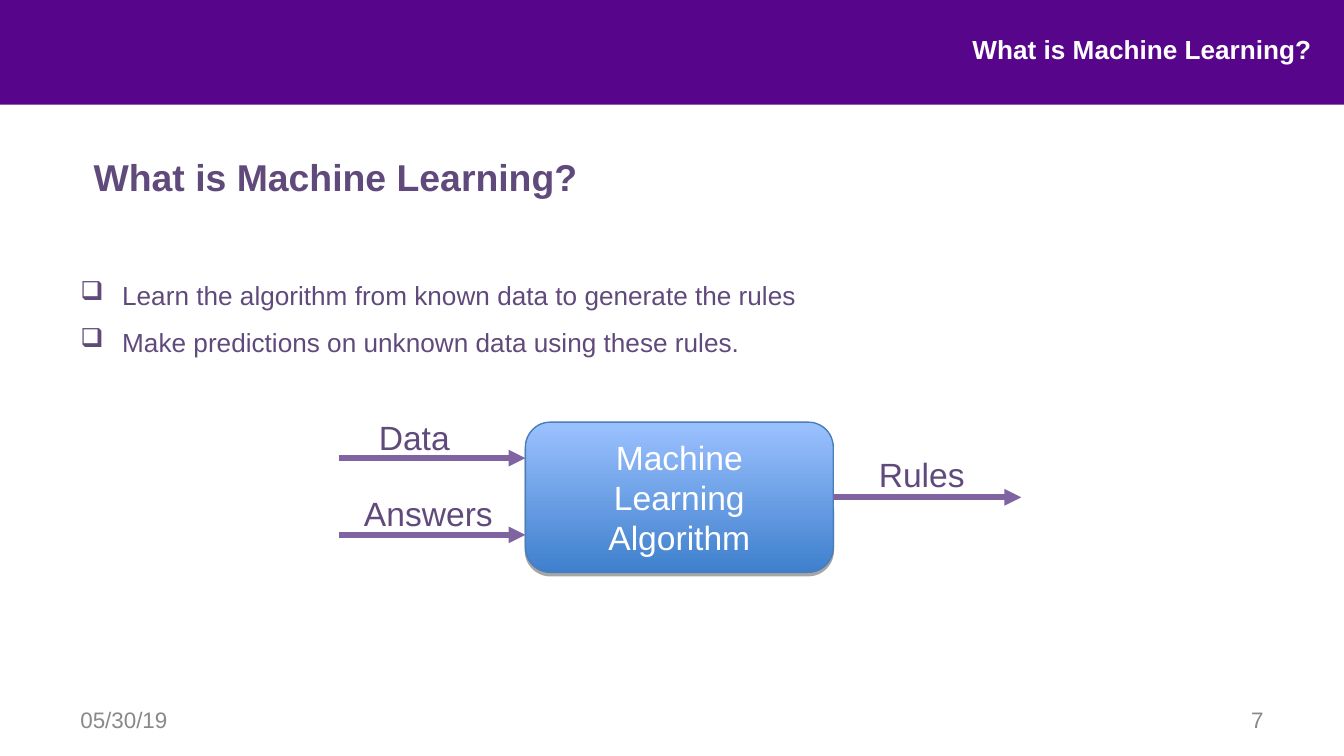
"""Build a slide that explains machine learning with a small flow diagram."""
from dataclasses import dataclass

from lxml import etree
from pptx import Presentation
from pptx.dml.color import RGBColor
from pptx.enum.shapes import MSO_CONNECTOR, MSO_SHAPE
from pptx.enum.text import MSO_ANCHOR, PP_ALIGN
from pptx.oxml.ns import qn
from pptx.slide import Slide
from pptx.text.text import TextFrame
from pptx.util import Cm, Pt

LEFT, CENTER, RIGHT = PP_ALIGN.LEFT, PP_ALIGN.CENTER, PP_ALIGN.RIGHT
TOP, MIDDLE = MSO_ANCHOR.TOP, MSO_ANCHOR.MIDDLE
RECTANGLE, ROUNDED = MSO_SHAPE.RECTANGLE, MSO_SHAPE.ROUNDED_RECTANGLE
STRAIGHT = MSO_CONNECTOR.STRAIGHT


@dataclass(frozen=True)
class Theme:
    font: str = "Arial"
    band: str = "57068C"
    ink: str = "604A7B"
    arrow: str = "8064A2"
    light: str = "FFFFFF"
    muted: str = "898989"
    box_low: str = "3F80CD"
    box_high: str = "9BC1FF"
    box_edge: str = "4A7EBB"
    shadow: str = "000000"
    title_size: int = 20
    diagram_size: int = 18
    body_size: int = 14
    footer_size: int = 12


@dataclass(frozen=True)
class Area:
    left: float
    top: float
    width: float
    height: float

    def lengths(self) -> tuple[Cm, Cm, Cm, Cm]:
        return Cm(self.left), Cm(self.top), Cm(self.width), Cm(self.height)


@dataclass(frozen=True)
class Caption:
    lines: tuple[str, ...]
    area: Area
    size: int
    color: str
    bold: bool = False
    align: PP_ALIGN = LEFT
    anchor: MSO_ANCHOR = TOP
    padded: bool = True
    bulleted: bool = False


@dataclass(frozen=True)
class Flow:
    label: str
    label_area: Area
    start: float
    end: float
    level: float


THEME = Theme()
HEADING = "What is Machine Learning?"
BAND = Area(0, 0, 25.43, 1.98)
ALGORITHM = Caption(("Machine Learning", "Algorithm"), Area(9.93, 7.98, 5.82, 2.84),
                    THEME.diagram_size, THEME.light, align=CENTER, anchor=MIDDLE)
BOX_LEFT = ALGORITHM.area.left
BOX_RIGHT = BOX_LEFT + ALGORITHM.area.width

CAPTIONS = (
    Caption(("Learn the algorithm from known data to generate the rules",
             "Make predictions on unknown data using these rules."),
            Area(1.52, 4.98, 22.66, 1.78), THEME.body_size, THEME.ink,
            padded=False, bulleted=True),
    Caption((HEADING,), Area(17.17, 0.64, 7.62, 0.74), THEME.body_size, THEME.light,
            bold=True, align=RIGHT, padded=False),
    Caption(("05/30/19",), Area(1.27, 13.23, 5.92, 0.76), THEME.footer_size,
            THEME.muted, anchor=MIDDLE),
    Caption(("7",), Area(18.21, 13.23, 5.92, 0.76), THEME.footer_size,
            THEME.muted, align=RIGHT, anchor=MIDDLE),
    Caption((HEADING,), Area(1.52, 2.79, 22.61, 1.12), THEME.title_size, THEME.ink,
            bold=True),
)
FLOWS = (
    Flow("Data", Area(6.91, 7.75, 2.62, 1.02), 6.4, BOX_LEFT, 8.66),
    Flow("Rules", Area(16.36, 8.46, 2.21, 1.02), BOX_RIGHT, 19.3, 9.4),
    Flow("Answers", Area(6.63, 9.19, 3.07, 1.02), 6.4, BOX_LEFT, 10.11),
)


def rgb(color: str) -> RGBColor:
    return RGBColor.from_string(color)


def add_bullet(properties: etree._Element) -> None:
    properties.set("marL", str(Cm(0.79)))
    properties.set("indent", str(-Cm(0.79)))
    bullet_color = etree.SubElement(properties, qn("a:buClr"))
    etree.SubElement(bullet_color, qn("a:srgbClr"), val=THEME.ink)
    etree.SubElement(properties, qn("a:buChar"), char="❑")


def write_text(frame: TextFrame, caption: Caption) -> None:
    frame.text = "\n".join(caption.lines)
    frame.word_wrap = True
    frame.vertical_anchor = caption.anchor
    if not caption.padded:
        frame.margin_left = frame.margin_right = 0
        frame.margin_top = frame.margin_bottom = 0
    for paragraph in frame.paragraphs:
        if caption.bulleted:
            add_bullet(paragraph._p.get_or_add_pPr())
            paragraph.line_spacing = 1.5
        paragraph.alignment = caption.align
        for run in paragraph.runs:
            run.font.name = THEME.font
            run.font.size = Pt(caption.size)
            run.font.bold = caption.bold
            run.font.color.rgb = rgb(caption.color)


def add_caption(slide: Slide, caption: Caption) -> None:
    write_text(slide.shapes.add_textbox(*caption.area.lengths()).text_frame, caption)


def add_band(slide: Slide) -> None:
    band = slide.shapes.add_shape(RECTANGLE, *BAND.lengths())
    band.shadow.inherit = False
    band.fill.solid()
    band.fill.fore_color.rgb = rgb(THEME.band)
    band.line.fill.background()


def add_algorithm(slide: Slide) -> None:
    box = slide.shapes.add_shape(ROUNDED, *ALGORITHM.area.lengths())
    box.adjustments[0] = 0.167
    box.fill.gradient()
    box.fill.gradient_angle = 90
    for stop, color in zip(box.fill.gradient_stops, (THEME.box_low, THEME.box_high)):
        stop.color.rgb = rgb(color)
    box.line.color.rgb = rgb(THEME.box_edge)
    box.line.width = Pt(0.75)
    box.shadow.inherit = False
    effects = box._element.spPr.find(qn("a:effectLst"))
    shadow = etree.SubElement(effects, qn("a:outerShdw"), blurRad="0",
                              dist=str(Pt(1.8)), dir="5400000", rotWithShape="0")
    shade = etree.SubElement(shadow, qn("a:srgbClr"), val=THEME.shadow)
    etree.SubElement(shade, qn("a:alpha"), val="35000")
    write_text(box.text_frame, ALGORITHM)


def add_flow(slide: Slide, flow: Flow) -> None:
    add_caption(slide, Caption((flow.label,), flow.label_area,
                               THEME.diagram_size, THEME.ink))
    arrow = slide.shapes.add_connector(STRAIGHT, Cm(flow.start), Cm(flow.level),
                                       Cm(flow.end), Cm(flow.level))
    arrow.line.color.rgb = rgb(THEME.arrow)
    arrow.line.width = Pt(3)
    etree.SubElement(arrow.line._get_or_add_ln(), qn("a:tailEnd"), type="triangle")
    etree.SubElement(arrow._element.spPr, qn("a:effectLst"))


def main() -> None:
    deck = Presentation()
    deck.slide_width, deck.slide_height = Cm(25.4), Cm(14.29)
    slide = deck.slides.add_slide(deck.slide_layouts[6])
    add_band(slide)
    for caption in CAPTIONS:
        add_caption(slide, caption)
    add_algorithm(slide)
    for flow in FLOWS:
        add_flow(slide, flow)
    deck.save("out.pptx")


if __name__ == "__main__":
    main()
